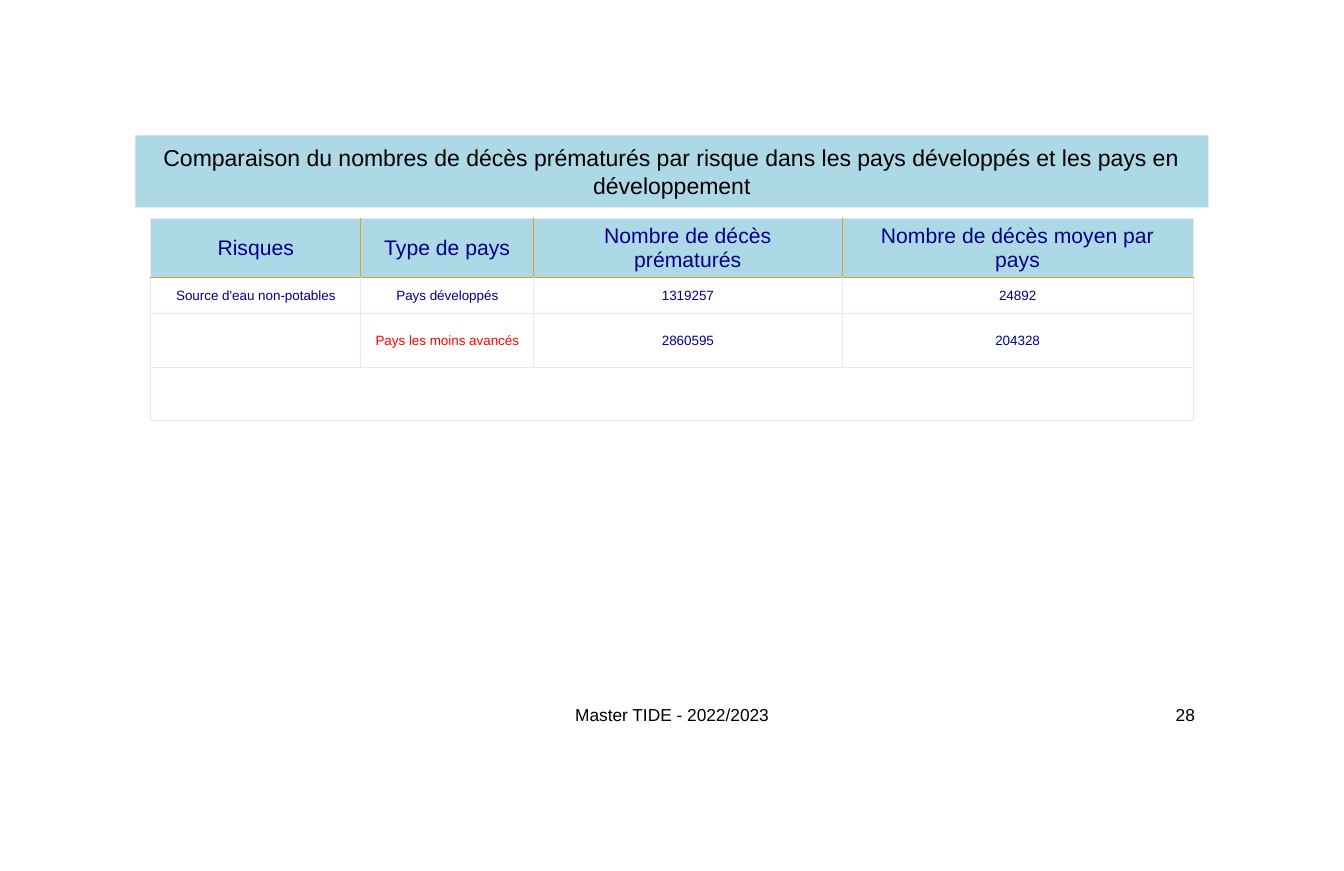
from dataclasses import dataclass

from pptx import Presentation
from pptx.dml.color import RGBColor as RGB
from pptx.enum.shapes import MSO_SHAPE as Shape
from pptx.enum.text import MSO_ANCHOR as Anchor, PP_ALIGN as Align
from pptx.oxml.ns import qn
from pptx.util import Inches, Pt
from lxml.etree import SubElement


@dataclass(frozen=True)
class Theme:
    font: str = "Arial"
    black: str = "000000"
    navy: str = "00008B"
    red: str = "FF0000"
    band: str = "ADD8E6"
    grid: str = "E6E6FA"
    gold: str = "DAA520"
    title_size: int = 12
    header_size: int = 11
    body_size: int = 7
    footer_size: int = 9
    border_width: float = 0.5


THEME = Theme()
COLUMN_WIDTHS = [1.52, 1.25, 2.23, 2.54]
ROW_HEIGHTS = [0.43, 0.26, 0.38, 0.25]
TITLE = [
    "Comparaison du nombres de décès prématurés par risque dans les pays développés et les pays en",
    "développement",
]
ROWS = [
    ["Risques", "Type de pays", "Nombre de décès prématurés", "Nombre de décès moyen par pays"],
    ["Source d'eau non-potables", "Pays développés", "1319257", "24892"],
    ["", "Pays les moins avancés", "2860595", "204328"],
    ["", "", "", ""],
]
RED_LABEL = "Pays les moins avancés"


def write(frame, lines, size, color, align=Align.CENTER):
    """Fill a text frame with one paragraph, broken where lines end."""
    frame.word_wrap = True
    para = frame.paragraphs[0]
    para.alignment = align
    for index, line in enumerate(lines):
        if index:
            para.add_line_break()
        span = para.add_run()
        span.text = line
        span.font.name = THEME.font
        span.font.size = Pt(size)
        span.font.color.rgb = RGB.from_string(color)


def add_title(page):
    box = page.shapes.add_shape(
        Shape.RECTANGLE, Inches(0.98), Inches(0.98), Inches(7.76), Inches(0.52)
    )
    box.shadow.inherit = False
    box.fill.solid()
    box.fill.fore_color.rgb = RGB.from_string(THEME.band)
    box.line.fill.background()
    box.text_frame.vertical_anchor = Anchor.MIDDLE
    write(box.text_frame, TITLE, THEME.title_size, THEME.black)


def add_footer(page, text, left, width, align):
    box = page.shapes.add_textbox(Inches(left), Inches(5.03), Inches(width), Inches(0.28))
    box.text_frame.vertical_anchor = Anchor.MIDDLE
    write(box.text_frame, [text], THEME.footer_size, THEME.black, align)


def set_borders(cell, colors):
    """Draw the four borders; colors are left, right, top, bottom."""
    properties = cell._tc.get_or_add_tcPr()
    for side, color in zip("LRTB", colors):
        line = SubElement(properties, qn(f"a:ln{side}"), w=str(Pt(THEME.border_width)))
        fill = SubElement(line, qn("a:solidFill"))
        SubElement(fill, qn("a:srgbClr"), val=color)


def border_colors(row, column):
    """Gold separates the headers and underlines them; the rest is pale."""
    header = row == 0
    gold_sides = [
        header and column > 0,
        header and column < len(COLUMN_WIDTHS) - 1,
        row == 1,
        header,
    ]
    return [THEME.gold if gold else THEME.grid for gold in gold_sides]


def style_cell(cell, row, column, text):
    set_borders(cell, border_colors(row, column))
    cell.vertical_anchor = Anchor.MIDDLE
    cell.margin_top = cell.margin_bottom = Inches(0.04)
    if row == 0:
        cell.margin_left = cell.margin_right = Inches(0.12)
        cell.fill.solid()
        cell.fill.fore_color.rgb = RGB.from_string(THEME.band)
    else:
        cell.fill.background()
    if text:
        size = THEME.body_size if row else THEME.header_size
        color = THEME.red if text == RED_LABEL else THEME.navy
        write(cell.text_frame, [text], size, color)


def add_risk_table(page):
    table = page.shapes.add_table(
        len(ROWS), len(COLUMN_WIDTHS), Inches(1.09), Inches(1.58),
        Inches(sum(COLUMN_WIDTHS)), Inches(sum(ROW_HEIGHTS)),
    ).table
    table.first_row = table.horz_banding = False
    for column, width in zip(table.columns, COLUMN_WIDTHS):
        column.width = Inches(width)
    for row, height in zip(table.rows, ROW_HEIGHTS):
        row.height = Inches(height)
    for row, texts in enumerate(ROWS):
        for column, text in enumerate(texts):
            style_cell(table.cell(row, column), row, column, text)
    # The last row is one empty cell
    last = len(ROWS) - 1
    table.cell(last, 0).merge(table.cell(last, len(COLUMN_WIDTHS) - 1))


def main():
    deck = Presentation()
    deck.slide_width, deck.slide_height = Inches(9.72), Inches(6.3)
    page = deck.slides.add_slide(deck.slide_layouts[6])

    # Title and table
    add_title(page)
    add_risk_table(page)

    # Footer and page number
    add_footer(page, "Master TIDE - 2022/2023", 2.92, 3.88, Align.CENTER)
    add_footer(page, "28", 6.8, 1.94, Align.RIGHT)

    deck.save("out.pptx")


if __name__ == "__main__":
    main()
